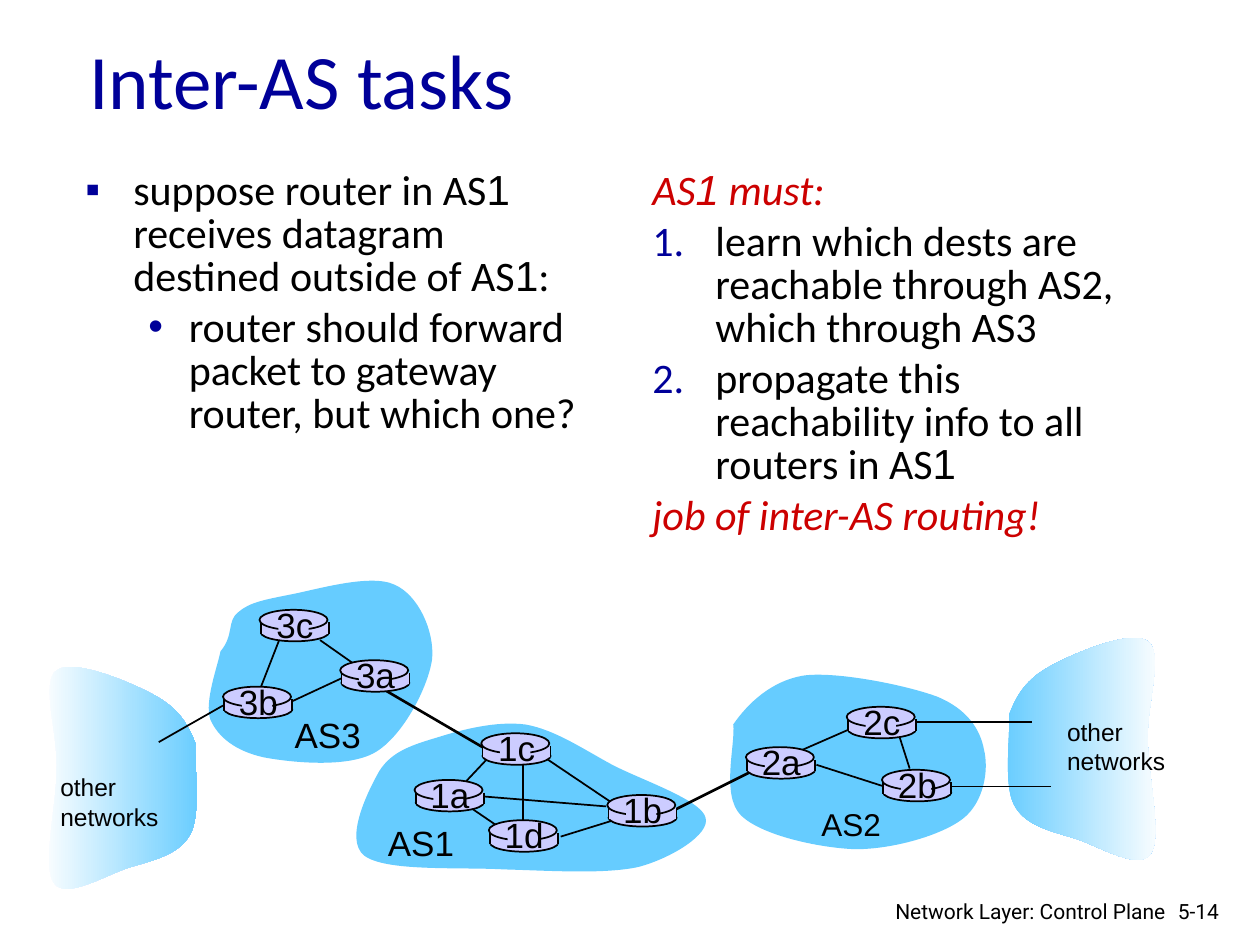
from lxml import etree
from pptx import Presentation
from pptx.dml.color import RGBColor
from pptx.enum.shapes import MSO_CONNECTOR, MSO_SHAPE
from pptx.enum.text import MSO_ANCHOR, MSO_AUTO_SIZE, PP_ALIGN
from pptx.oxml.ns import qn
from pptx.util import Cm, Pt

LINE = MSO_CONNECTOR.STRAIGHT
OVAL, RECT = MSO_SHAPE.OVAL, MSO_SHAPE.RECTANGLE
TOP, MIDDLE = MSO_ANCHOR.TOP, MSO_ANCHOR.MIDDLE
GROW = MSO_AUTO_SIZE.SHAPE_TO_FIT_TEXT
LEFT, CENTER, RIGHT = PP_ALIGN.LEFT, PP_ALIGN.CENTER, PP_ALIGN.RIGHT

NAVY = RGBColor(0x00, 0x00, 0x99)
RED = RGBColor(0xCC, 0x00, 0x00)
BLACK = RGBColor(0x00, 0x00, 0x00)
WHITE = RGBColor(0xFF, 0xFF, 0xFF)
SKY = RGBColor(0x66, 0xCC, 0xFF)
LILAC = RGBColor(0xCC, 0xCC, 0xFF)


def inch(*values):
    """Turn inches into lengths."""
    return [Cm(2.54 * v) for v in values]


class Board:
    def __init__(self, slide, face="Arial", ink=BLACK):
        self.slide, self.face, self.ink = slide, face, ink
        self.pane = slide.shapes

    def frame(self, box, wrap=True, anchor=TOP):
        frame = self.pane.add_textbox(*inch(*box)).text_frame
        frame.word_wrap = wrap
        frame.vertical_anchor = anchor
        if not wrap:
            frame.auto_size = GROW
        return frame

    def font(self, para, size, face=None, ink=None, slant=None):
        font = para.font
        font.size, font.name = Pt(size), face or self.face
        font.color.rgb = ink or self.ink
        font.italic = slant

    def label(self, text, box, size, face=None, ink=None, align=LEFT,
              wrap=False, anchor=TOP):
        frame = self.frame(box, wrap, anchor)
        for i, line in enumerate(text.split("\n")):
            para = frame.add_paragraph() if i else frame.paragraphs[0]
            para.alignment = align
            para.add_run().text = line
            self.font(para, size, face, ink)

    def body(self, box, items):
        """Items are (text, bullet, margin, hang); bars enclose Arial digits."""
        frame = self.frame(box)
        for i, (text, mark, margin, hang) in enumerate(items):
            para = frame.add_paragraph() if i else frame.paragraphs[0]
            para.line_spacing, para.space_before = 0.85, Pt(4.8)
            props = para._p.get_or_add_pPr()
            props.set("marL", str(inch(margin)[0]))
            props.set("indent", str(-inch(hang)[0]))
            if mark:
                self.bullet(props, mark)
            for j, bit in enumerate(text.split("|")):
                run = para.add_run()
                run.text = bit
                if j % 2:
                    run.font.name = "Arial"
            self.font(para, 24, "Calibri", BLACK if mark else RED, not mark)

    def bullet(self, props, mark):
        tint = etree.SubElement(props, qn("a:buClr"))
        etree.SubElement(tint, qn("a:srgbClr")).set("val", str(NAVY))
        if mark == "1.":
            etree.SubElement(props, qn("a:buAutoNum")).set("type", "arabicPeriod")
        else:
            etree.SubElement(props, qn("a:buFont")).set("typeface", "Arial")
            etree.SubElement(props, qn("a:buChar")).set("char", mark)

    def link(self, x1, y1, x2, y2, width=1):
        line = self.pane.add_connector(LINE, *inch(x1, y1, x2, y2))
        line.line.color.rgb, line.line.width = self.ink, Pt(width)
        etree.SubElement(line._element.spPr, qn("a:effectLst"))

    def shape(self, kind, box, edge=False):
        shape = self.pane.add_shape(kind, *inch(*box))
        shape.shadow.inherit = False
        shape.fill.solid()
        shape.fill.fore_color.rgb = LILAC
        if edge:
            shape.line.color.rgb, shape.line.width = self.ink, Pt(1)
        else:
            shape.line.fill.background()

    def cloud(self, points, fade=None):
        """Closed curve: a start, then two handles and an end per part."""
        ends = [inch(*p) for p in points]
        pen = self.pane.build_freeform(*ends[0])
        pen.add_line_segments(ends[1:], close=True)
        shape = pen.convert_to_shape()
        # Join every three straight parts into one cubic curve
        parts = list(shape._element.iter(qn("a:lnTo")))
        for first, second, third in zip(parts[::3], parts[1::3], parts[2::3]):
            first.tag = qn("a:cubicBezTo")
            for part in (second, third):
                first.append(part[0])
                part.getparent().remove(part)
        shape.shadow.inherit = False
        shape.line.fill.background()
        if fade:
            shape.fill.gradient()
            shape.fill.gradient_angle = 0
            for stop, ink in zip(shape.fill.gradient_stops, fade):
                stop.color.rgb = ink
        else:
            shape.fill.solid()
            shape.fill.fore_color.rgb = SKY

    def router(self, name, x, y):
        """Flat cylinder with a name; x, y is the corner of its lid."""
        self.pane = self.slide.shapes.add_group_shape().shapes
        self.shape(OVAL, (x + 0.01, y + 0.11, 0.54, 0.14), True)
        self.shape(RECT, (x + 0.01, y + 0.1, 0.54, 0.09))
        for side in (x + 0.01, x + 0.55):
            self.link(side, y + 0.1, side, y + 0.19)
        self.shape(OVAL, (x, y, 0.54, 0.16), True)
        self.shape(RECT, (x + 0.15, y + 0.02, 0.24, 0.2))
        self.label(name, (x + 0.02, y - 0.1, 0.52, 0.43), 20, align=CENTER)
        self.pane = self.slide.shapes


AREAS = [
    [(5.82, 5.75),  # AS2
     (5.93, 5.59), (6.12, 5.4), (6.39, 5.36), (6.66, 5.33), (7.2, 5.44), (7.44, 5.53),
     (7.68, 5.63), (7.78, 5.79), (7.81, 5.95), (7.85, 6.11), (7.81, 6.37), (7.64, 6.5),
     (7.47, 6.63), (7.09, 6.74), (6.79, 6.74), (6.5, 6.73), (6.04, 6.63), (5.88, 6.47),
     (5.72, 6.31), (5.84, 5.9), (5.82, 5.75)],
    [(1.75, 5.17),  # AS3
     (1.86, 5.04), (1.8, 4.93), (1.89, 4.86), (1.98, 4.78), (2.1, 4.76), (2.3, 4.72),
     (2.51, 4.68), (2.94, 4.55), (3.13, 4.64), (3.32, 4.72), (3.45, 5.01), (3.43, 5.23),
     (3.4, 5.45), (3.2, 5.84), (2.98, 5.97), (2.76, 6.1), (2.3, 6.05), (2.09, 6.01),
     (1.87, 5.96), (1.73, 5.85), (1.67, 5.71), (1.62, 5.57), (1.73, 5.28), (1.75, 5.17)],
    [(3.01, 6.12),  # AS1
     (3.11, 5.96), (3.28, 5.91), (3.48, 5.85), (3.67, 5.79), (3.94, 5.72), (4.17, 5.75),
     (4.4, 5.79), (4.62, 5.94), (4.86, 6.07), (5.09, 6.19), (5.57, 6.35), (5.6, 6.49),
     (5.64, 6.62), (5.33, 6.81), (5.07, 6.88), (4.8, 6.94), (4.36, 6.91), (4, 6.9),
     (3.64, 6.88), (3.06, 6.92), (2.89, 6.79), (2.73, 6.66), (2.92, 6.28), (3.01, 6.12)],
]
OUTER = [
    (8.01, 5.67),
    (8.07, 5.51), (8.15, 5.39), (8.33, 5.29), (8.51, 5.19), (8.98, 4.99), (9.11, 5.09),
    (9.24, 5.18), (9.1, 5.59), (9.11, 5.87), (9.11, 6.16), (9.23, 6.65), (9.13, 6.78),
    (9.04, 6.91), (8.73, 6.72), (8.55, 6.66), (8.36, 6.6), (8.14, 6.56), (8.05, 6.39),
    (7.96, 6.23), (8.02, 5.82), (8.01, 5.67)]
LINKS = [
    (2.31, 5.57, 2.74, 5.37), (2.81, 5.27, 2.54, 5.08), (2.22, 5.07, 2.06, 5.48),
    (3.87, 6.02, 3.7, 6.2), (4.15, 6.06, 4.15, 6.56), (4.32, 6.01, 4.87, 6.38),
    (4.87, 6.51, 4.45, 6.64), (4.81, 6.4, 3.82, 6.32), (3.72, 6.4, 3.94, 6.55),
    (6.28, 5.99, 6.76, 5.78), (6.48, 6.07, 7.01, 6.24), (7.14, 5.85, 7.22, 6.1),
    (1.77, 5.6, 1.26, 5.89),
    (7.26, 5.73, 8.19, 5.73, 0.75), (7.53, 6.24, 8.34, 6.24, 0.75),
    (5.37, 6.42, 5.95, 6.13, 1.5), (3.06, 5.48, 3.83, 5.93, 1.5),
]
ROUTERS = [
    ("3b", 1.77, 5.45), ("3c", 2.06, 4.84), ("3a", 2.7, 5.24),
    ("1c", 3.82, 5.82), ("1a", 3.29, 6.19), ("1d", 3.88, 6.51), ("1b", 4.82, 6.31),
    ("2a", 5.92, 5.93), ("2c", 6.72, 5.61), ("2b", 7, 6.11),
]


def main():
    deck = Presentation()
    deck.slide_width, deck.slide_height = inch(10, 7.5)
    board = Board(deck.slides.add_slide(deck.slide_layouts[6]))

    # Title and the two columns
    board.label("Inter-AS tasks", (0.61, 0, 8.5, 1.25), 44, "Calibri", NAVY,
                wrap=True, anchor=MIDDLE)
    board.body((0.58, 1.31, 4.17, 3.19), [
        ("suppose router in AS|1| receives datagram destined outside of AS|1|:",
         "▪", 0.38, 0.38),
        ("router should forward packet to gateway router, but which one?",
         "•", 0.82, 0.32)])
    board.body((5.08, 1.31, 4.17, 5.08), [
        ("AS|1| must:", None, 0.5, 0.5),
        ("learn which dests are reachable through AS2, which through AS3",
         "1.", 0.5, 0.5),
        ("propagate this reachability info to all routers in AS|1", "1.", 0.5, 0.5),
        ("job of inter-AS routing!", None, 0.5, 0.5)])

    # Outer networks: the left one mirrors the right one
    board.cloud(OUTER, (SKY, WHITE))
    board.cloud([(9.56 - x, y + 0.23) for x, y in OUTER], (WHITE, SKY))

    # Areas, links and routers
    for area in AREAS:
        board.cloud(area)
    for link in LINKS:
        board.link(*link)
    for router in ROUTERS:
        board.router(*router)

    # Names of the areas and networks
    board.label("AS3", (2.24, 5.61, 0.73, 0.43), 20)
    board.label("AS1", (2.98, 6.47, 0.73, 0.43), 20)
    board.label("AS2", (6.42, 6.34, 0.67, 0.4), 18)
    for x, y in ((8.37, 5.64), (0.38, 6.08)):
        board.label("other\nnetworks", (x, y, 0.98, 0.57), 14)

    # Footer
    board.label("5-14", (9.25, 7.08, 0.6, 0.3), 12, "Roboto", wrap=True)
    board.label("Network Layer: Control Plane", (6.97, 7.08, 2.38, 0.26), 12,
                "Roboto", align=RIGHT, wrap=True)

    deck.save("out.pptx")


if __name__ == "__main__":
    main()
